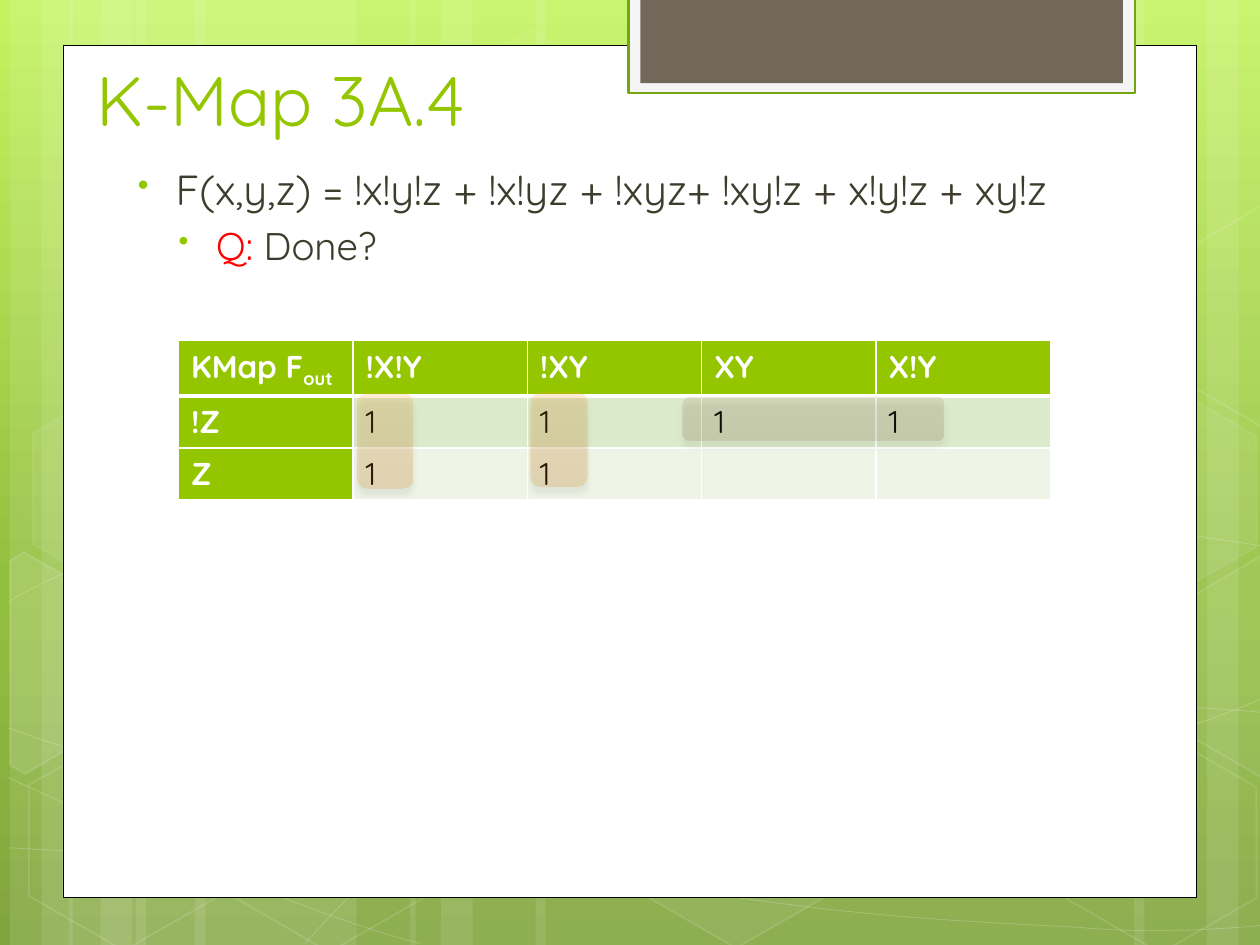
from dataclasses import dataclass
from itertools import product
from math import cos, radians, sin

from lxml.etree import SubElement
from pptx import Presentation
from pptx.dml.color import RGBColor
from pptx.enum.shapes import MSO_SHAPE as Preset
from pptx.enum.text import MSO_ANCHOR as Anchor
from pptx.oxml.ns import qn
from pptx.util import Cm, Pt

Point = tuple[float, float]
Box = tuple[float, float, float, float]
COLORS = {
    "white": "FFFFFF", "black": "000000", "red": "FF0000", "green": "94C600", "ink": "3E3D2D",
    "tab": "F5F5F5", "tab_edge": "74A510", "taupe": "71685A", "band_dark": "DCEACC", "band_light": "EEF5E7",
    "sky_top": "C3F35F", "sky_middle": "93BF3F", "sky_bottom": "81A53E", "orange_top": "FEA022",
    "orange_bottom": "DB820A", "brown_top": "956B43", "brown_bottom": "7D552F",
}


@dataclass
class Look:
    fill: str | None = None
    fill_alpha: int = 100
    line: str | None = None
    line_alpha: int = 100
    line_width: float = 1


@dataclass
class Span:
    text: str
    color: str
    subscript: bool = False


STRIPES = [(2.74, 4.45), (0.2, 1.27), (0.84, 2.11), (3.93, 4.45), (1.39, 1.27), (2.03, 2.11),
           (18.62, 4.45), (24.33, 1.27), (22.86, 2.11), (10.8, 7.82), (8.26, 1.27), (8.89, 2.11)]
CURVES = [
    [(0.18, 17.09), (1.55, 17.17), (2.92, 17.25), (4.83, 17.22), (6.73, 17.2), (9.09, 17.15), (11.63, 16.89),
     (14.17, 16.64), (17.78, 16.15), (20.12, 15.67), (22.43, 15.19), (24.82, 14.43), (25.58, 14)],
    [(0.18, 12.12), (0.91, 11.71), (1.65, 11.33), (3.07, 10.95), (4.52, 10.57), (6.58, 10.01), (8.81, 9.83),
     (11.07, 9.65), (13.82, 9.63), (16.61, 9.83), (19.41, 10.03), (24.05, 10.82), (25.58, 11.02)],
    [(0.15, 15.67), (3.23, 17.07), (6.27, 18.47), (8.48, 19.02)],
    [(0.18, 14.68), (0.97, 14.96), (1.78, 15.24), (3.25, 15.65), (4.72, 16.03), (6.93, 16.66), (9.07, 17.09),
     (11.18, 17.53), (13.84, 17.98), (15.95, 18.24), (18.06, 18.52), (20.32, 18.62), (21.67, 18.69),
     (22.99, 18.8), (23.34, 18.75), (24, 18.75), (24.66, 18.72), (25.12, 18.69), (25.58, 18.64)],
    [(6.15, 19.02), (6.6, 18.52), (7.06, 18.01), (7.67, 17.55), (8.28, 17.09), (9.14, 16.59), (9.86, 16.23),
     (10.57, 15.88), (11, 15.72), (11.94, 15.47), (12.85, 15.21), (14.55, 14.86), (15.44, 14.68),
     (16.36, 14.5), (16.48, 14.5), (17.27, 14.45), (18.03, 14.38), (19.3, 14.3), (20.17, 14.27),
     (21.06, 14.25), (22.5, 14.27), (22.5, 14.27), (22.5, 14.27), (24.21, 14.27), (24.21, 14.27),
     (24.66, 14.3), (25.1, 14.33), (25.32, 14.35), (25.55, 14.38), (25.48, 14.35), (25.55, 14.38)],
]
HEXAGONS = [(8.48, 0.91, 4, 8), (12.62, 14.96, 6, 12), (0.28, 15.01, 0, 12), (0.36, 7.92, 7, 8),
            (4.42, 15.04, 0, 12), (19.13, 11.51, 10, 12), (21.18, 15.06, 0, 12), (21.18, 7.98, 7, 8)]
CUT_HEXAGONS = [
    (10, (0.91, 13.59), [(0.2, 11.3), (0.48, 11.13), (2.44, 12.24), (2.41, 14.48), (0.51, 15.6), (0.2, 15.42)]),
    (4, (25.02, 13.21),
     [(23.52, 12.32), (25.43, 11.2), (25.63, 11.33), (25.63, 15.57), (25.45, 15.67), (23.52, 14.55)]),
    (0, (25.02, 6.12), [(23.52, 5.26), (25.43, 4.14), (25.65, 4.27), (25.63, 8.51), (25.45, 8.61), (23.52, 7.49)]),
]
FRAMES = [((1.27, 0.91, 22.86, 17.18), Look("white", line="black", line_width=0.5)),
          ((12.67, -0.05, 10.21, 1.93), Look("tab", line="tab_edge", line_width=1.25)),
          ((12.91, -0.05, 9.73, 1.73), Look("taupe"))]
KMAP = [["KMap F", "!X!Y", "!XY", "XY", "X!Y"], ["!Z", "1", "1", "1", "1"], ["Z", "1", "1", "", ""]]
GROUPINGS = [((7.2, 7.93, 1.14, 1.91), "orange", 19), ((13.76, 8, 5.28, 0.89), "brown", 15),
             ((10.7, 7.9, 1.14, 1.91), "orange", 19)]


def lengths(box: Box) -> list[Cm]:
    return [Cm(value) for value in box]


def add_color(parent, name: str, alpha: int = 100) -> None:
    color = SubElement(parent, qn("a:srgbClr"), val=COLORS[name])
    if alpha < 100:
        SubElement(color, qn("a:alpha"), val=str(alpha * 1000))


def paint(fill, name: str | None, alpha: int = 100) -> None:
    if not name or not alpha:
        fill.background()
        return
    fill.solid()
    fill.fore_color.rgb = RGBColor.from_string(COLORS[name])
    if alpha < 100:
        SubElement(fill._xPr.find(qn("a:solidFill"))[0], qn("a:alpha"), val=str(alpha * 1000))


def paint_gradient(fill, stops: list[tuple[int, str]], alpha: int = 100) -> None:
    fill.gradient()
    fill.gradient_angle = 270
    stop_list = fill.gradient_stops[0]._gs.getparent()
    for stop in list(stop_list):
        stop_list.remove(stop)
    for position, name in stops:
        add_color(SubElement(stop_list, qn("a:gs"), pos=str(position * 1000)), name, alpha)


def style(shape, look: Look):
    shape.shadow.inherit = False
    paint(shape.fill, look.fill, look.fill_alpha)
    paint(shape.line.fill, look.line, look.line_alpha)
    if look.line:
        shape.line.width = Pt(look.line_width)
    return shape


def add_preset(shapes, preset: Preset, box: Box, look: Look):
    return style(shapes.add_shape(preset, *lengths(box)), look)


def add_outline(shapes, points: list[Point], look: Look, close: bool):
    start, *rest = [(Cm(x), Cm(y)) for x, y in points]
    builder = shapes.build_freeform(*start)
    builder.add_line_segments(rest, close=close)
    return style(builder.convert_to_shape(), look)


def add_curve(shapes, knots: list[Point], look: Look) -> None:
    outline = add_outline(shapes, knots, look, False)
    lines = list(outline._element.iter(qn("a:lnTo")))
    route = lines[0].getparent()
    for place, line in enumerate(lines):
        if place % 3 == 0:
            bezier = SubElement(route, qn("a:cubicBezTo"))
        bezier.append(line[0])
        route.remove(line)


def turn_back(point: Point, center: Point) -> Point:
    dx, dy = point[0] - center[0], point[1] - center[1]
    c, s = cos(radians(30)), sin(radians(30))
    return center[0] + dx * c + dy * s, center[1] - dx * s + dy * c


def write(paragraph, spans: list[Span], size: float, bold: bool = False) -> None:
    font = paragraph.font
    font.name, font.size, font.bold = "Quicksand", Pt(size), bold
    for span in spans:
        run = paragraph.add_run()
        run.text = span.text
        paint(run.font.fill, span.color)
        if span.subscript:
            run.font._element.set("baseline", "-25000")


def write_bullet(paragraph, spans: list[Span], size: float, indent: float) -> None:
    write(paragraph, spans, size)
    paragraph.space_before = Pt(size * 0.2)
    properties = paragraph._p.get_or_add_pPr()
    properties.set("marL", str(Cm(indent)))
    properties.set("indent", str(Cm(-0.76)))
    defaults = properties.find(qn("a:defRPr"))
    add_color(SubElement(properties, qn("a:buClr")), "green")
    SubElement(properties, qn("a:buSzPct"), val="76000")
    SubElement(properties, qn("a:buChar"), char="•")
    properties.append(defaults)


def add_borders(cell, row: int) -> None:
    properties = cell._tc.get_or_add_tcPr()
    widths = {"lnL": 1, "lnR": 1, "lnT": 3 if row == 1 else 1, "lnB": 3 if row == 0 else 1}
    for place, (tag, width) in enumerate(widths.items()):
        border = SubElement(properties, qn(f"a:{tag}"), w=str(Pt(width)))
        add_color(SubElement(border, qn("a:solidFill")), "white")
        properties.insert(place, border)


def add_kmap(shapes) -> None:
    table = shapes.add_table(len(KMAP), len(KMAP[0]), *lengths((3.6, 6.86, 17.58, 3.15))).table
    for row, column in product(range(len(KMAP)), range(len(KMAP[0]))):
        cell, heading = table.cell(row, column), row == 0 or column == 0
        paint(cell.fill, "green" if heading else ("band_dark", "band_light")[row - 1])
        add_borders(cell, row)
        ink = "white" if heading else "black"
        spans = [Span(KMAP[row][column], ink)] if KMAP[row][column] else []
        if row == column == 0:
            spans.append(Span("out", ink, subscript=True))
        write(cell.text_frame.paragraphs[0], spans, 18, heading)


def add_grouping(shapes, box: Box, hue: str, alpha: int) -> None:
    shape = add_preset(shapes, Preset.ROUNDED_RECTANGLE, box, Look())
    paint_gradient(shape.fill, [(0, f"{hue}_top"), (100, f"{hue}_bottom")], alpha)
    effects = shape._element.spPr.find(qn("a:effectLst"))
    add_color(SubElement(effects, qn("a:outerShdw"), blurRad=str(Pt(3.5)), dist=str(Pt(4)), dir="5400000"), "black", 34)


def main() -> None:
    """Build the K-map slide and save it."""
    deck = Presentation()
    deck.slide_width, deck.slide_height = Cm(25.4), Cm(19.05)
    slide = deck.slides.add_slide(deck.slide_layouts[6])
    shapes = slide.shapes
    paint_gradient(slide.background.fill, [(0, "sky_top"), (62, "sky_middle"), (100, "sky_bottom")])
    for left, width in STRIPES:
        add_preset(shapes, Preset.RECTANGLE, (left, 0, width, 19.05), Look("white", 10))
    for knots in CURVES:
        add_curve(shapes, knots, Look(line="white", line_alpha=20, line_width=0.5))
    for left, top, fill_alpha, line_alpha in HEXAGONS:
        hexagon = add_preset(shapes, Preset.HEXAGON, (left, top, 4.45, 3.86), Look("white", fill_alpha, "white", line_alpha))
        hexagon.rotation, hexagon.adjustments[0] = 30, 0.29
    for fill_alpha, center, corners in CUT_HEXAGONS:
        upright = [turn_back(corner, center) for corner in corners]
        add_outline(shapes, upright, Look("white", fill_alpha, "white", 12), True).rotation = 30
    for box, look in FRAMES:
        add_preset(shapes, Preset.RECTANGLE, box, look)
    title = shapes.add_textbox(*lengths((1.69, -0.22, 19.51, 3.18))).text_frame
    title.word_wrap, title.vertical_anchor = True, Anchor.BOTTOM
    write(title.paragraphs[0], [Span("K-Map 3A.4", "green")], 40)
    body = shapes.add_textbox(*lengths((2.33, 3.18, 21.39, 9.75))).text_frame
    body.word_wrap = True
    formula = Span("F(x,y,z) = !x!y!z + !x!yz + !xyz+ !xy!z + x!y!z + xy!z", "ink")
    write_bullet(body.paragraphs[0], [formula], 24, 0.96)
    question = body.add_paragraph()
    question.level = 1
    write_bullet(question, [Span("Q: ", "red"), Span("Done?", "ink")], 22, 1.78)
    add_kmap(shapes)
    for box, hue, alpha in GROUPINGS:
        add_grouping(shapes, box, hue, alpha)
    deck.save("out.pptx")


if __name__ == "__main__":
    main()
